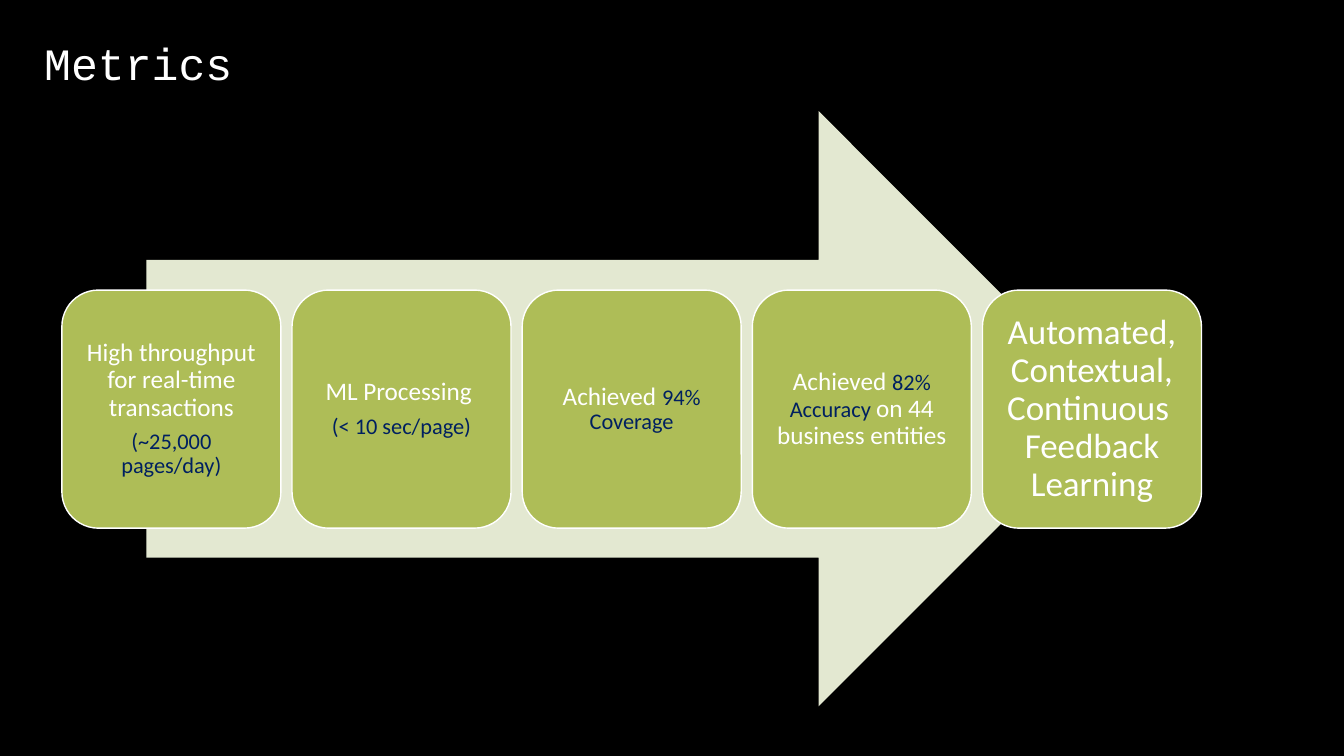
from pptx import Presentation
from pptx.dml.color import RGBColor
from pptx.enum.shapes import MSO_SHAPE
from pptx.enum.text import MSO_ANCHOR, PP_ALIGN
from pptx.util import Cm, Pt

WHITE, NAVY = "FFFFFF", "002060"
GREEN, PALE_GREEN, BLACK = "AEBD57", "E3E8D1", "000000"

CARD_LEFT, CARD_TOP, CARD_PITCH = 1.56, 7.31, 5.8
CARD_WIDTH, CARD_HEIGHT = 5.52, 6.0

# Each card is a list of paragraphs, each paragraph a list of (text, size, colour).
METRICS = [
    [[("High throughput for real-time transactions", 18, WHITE)],
     [("(~25,000 pages/day)", 16, NAVY)]],
    [[("ML Processing ", 18, WHITE)],
     [("(< 10 sec/page)", 16, NAVY)]],
    [[("Achieved ", 18, WHITE), ("94% Coverage", 16, NAVY)]],
    [[("Achieved ", 18, WHITE), ("82% Accuracy ", 16, NAVY),
      ("on 44 business entities", 18, WHITE)]],
    [[("Automated, Contextual, Continuous  Feedback Learning", 25, WHITE)]],
]


def colour(value):
    return RGBColor.from_string(value)


def paint(fill, value):
    fill.solid()
    fill.fore_color.rgb = colour(value)


def set_margins(frame, margin):
    frame.margin_left = frame.margin_right = Cm(margin)
    frame.margin_top = frame.margin_bottom = Cm(margin)


def set_title(page, text):
    title = page.shapes.title
    title.left, title.top = Cm(0.86), Cm(0.86)
    title.width, title.height = Cm(29.41), Cm(1.63)
    frame = title.text_frame
    frame.text = text
    frame.vertical_anchor = MSO_ANCHOR.MIDDLE
    para = frame.paragraphs[0]
    para.alignment = PP_ALIGN.LEFT
    para.line_spacing = 0.9
    para.font.name = "Courier New"
    para.font.size = Pt(32)
    para.font.color.rgb = colour(WHITE)


def add_plain_shape(page, kind, left, top, width, height, fill):
    shape = page.shapes.add_shape(kind, Cm(left), Cm(top), Cm(width), Cm(height))
    shape.shadow.inherit = False
    paint(shape.fill, fill)
    shape.line.fill.background()
    return shape


def fill_paragraph(para, spans):
    para.alignment = PP_ALIGN.CENTER
    para.line_spacing = 0.9
    para.space_after = Pt(6)
    para.font.name = "Calibri"
    for text, size, shade in spans:
        span = para.add_run()
        span.text = text
        span.font.size = Pt(size)
        span.font.color.rgb = colour(shade)


def add_card(page, left, paragraphs):
    card = add_plain_shape(page, MSO_SHAPE.ROUNDED_RECTANGLE, left, CARD_TOP,
                           CARD_WIDTH, CARD_HEIGHT, GREEN)
    paint(card.line.fill, WHITE)
    card.line.width = Pt(1)
    frame = card.text_frame
    frame.word_wrap = True
    frame.vertical_anchor = MSO_ANCHOR.MIDDLE
    largest = max(size for spans in paragraphs for _, size, _ in spans)
    set_margins(frame, 0.25 if largest > 18 else 0.18)
    for index, spans in enumerate(paragraphs):
        para = frame.add_paragraph() if index else frame.paragraphs[0]
        fill_paragraph(para, spans)


def main():
    deck = Presentation()
    deck.slide_width, deck.slide_height = Cm(33.87), Cm(19.05)
    page = deck.slides.add_slide(deck.slide_layouts[5])
    paint(page.background.fill, BLACK)
    set_title(page, "Metrics")
    add_plain_shape(page, MSO_SHAPE.RIGHT_ARROW, 3.69, 2.8, 24.44, 15, PALE_GREEN)
    for index, paragraphs in enumerate(METRICS):
        add_card(page, CARD_LEFT + index * CARD_PITCH, paragraphs)
    deck.save("out.pptx")


if __name__ == "__main__":
    main()
